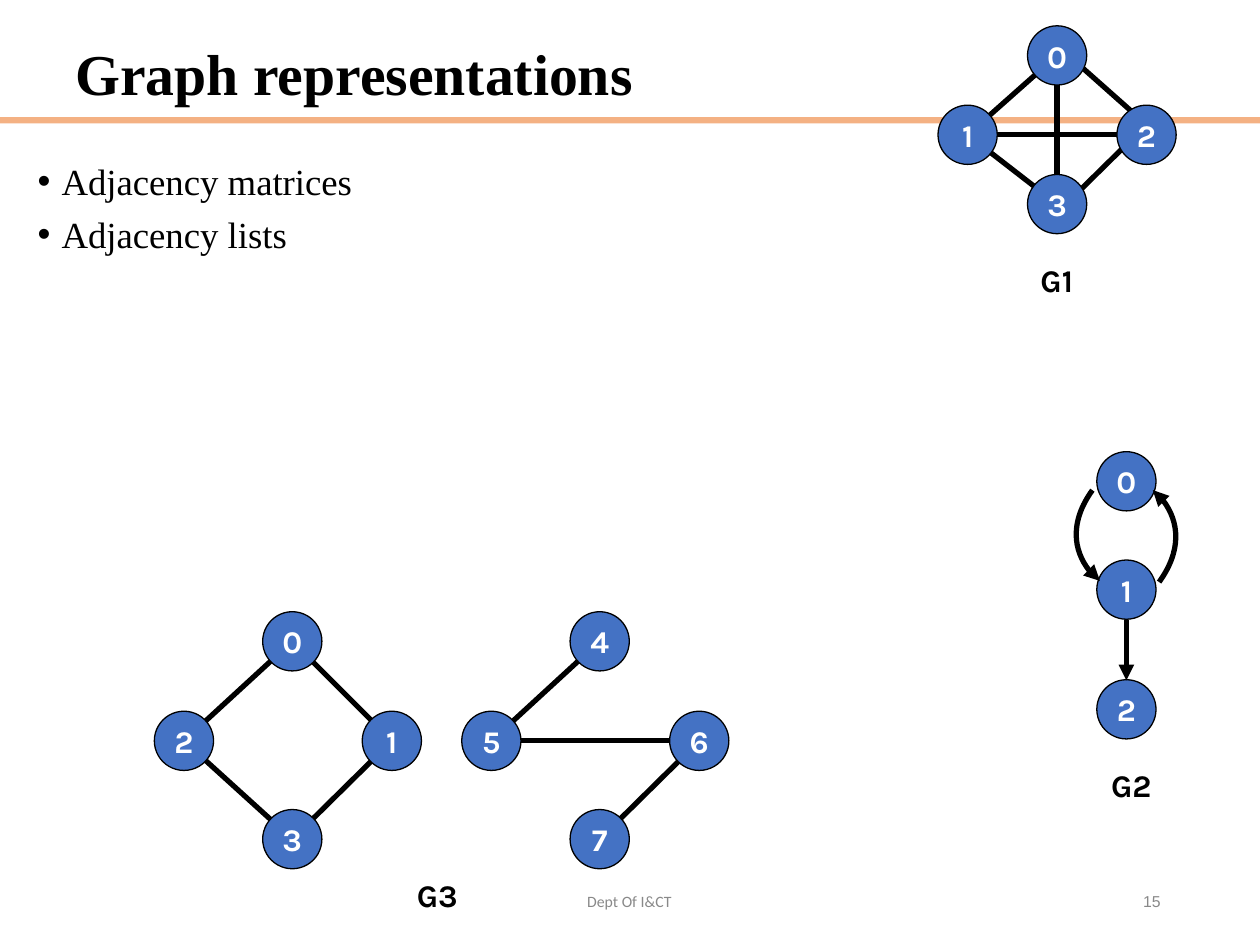
from pptx import Presentation
from pptx.dml.color import RGBColor
from pptx.enum.shapes import MSO_CONNECTOR, MSO_SHAPE
from pptx.enum.text import MSO_ANCHOR, PP_ALIGN
from pptx.oxml.ns import qn
from pptx.util import Inches, Pt
from lxml import etree

LINE = MSO_CONNECTOR.STRAIGHT
OVAL, RECT = MSO_SHAPE.OVAL, MSO_SHAPE.RECTANGLE
MID, TOP = MSO_ANCHOR.MIDDLE, MSO_ANCHOR.TOP
LEFT, CENTER, RIGHT = PP_ALIGN.LEFT, PP_ALIGN.CENTER, PP_ALIGN.RIGHT

BLACK = RGBColor(0x00, 0x00, 0x00)
WHITE = RGBColor(0xFF, 0xFF, 0xFF)
BLUE = RGBColor(0x44, 0x72, 0xC4)
PEACH = RGBColor(0xF4, 0xB1, 0x83)
GRAY = RGBColor(0x89, 0x89, 0x89)

SERIF = "Times New Roman"
SIZE = 0.47
LABEL = (0.6, 0.4)

TITLE = "Graph representations"
BULLETS = ["Adjacency matrices", "Adjacency lists"]
FOOTERS = [
    ("Dept Of I&CT", (3.31, 6.95, 3.37, 0.4), "Calibri", CENTER),
    ("15", (7.06, 6.95, 2.25, 0.4), "Arial", RIGHT),
]

# Nodes give their centres; an edge end is a node or a point.
# Arcs give a start, two control points and an end.
GRAPHS = [
    dict(
        name="G1", label=(8.16, 2.02),
        nodes={"0": (8.39, 0.44), "1": (7.68, 1.07),
               "2": (9.1, 1.07), "3": (8.39, 1.62)},
        edges=[("0", "3"), ("1", "2"), ("0", "1"), ("1", "3"),
               ((8.39, 0.36), (9.1, 0.99)), ((9.1, 0.99), (8.46, 1.62))],
    ),
    dict(
        name="G2", label=(8.72, 6.03),
        nodes={"2": (8.94, 5.63), "1": (8.94, 4.68), "0": (8.94, 3.82)},
        arrows=[((8.94, 4.92), (8.94, 5.4))],
        arcs=[[(9.2, 4.62), (9.38, 4.37), (9.36, 4.05), (9.15, 3.89)],
              [(8.67, 3.89), (8.49, 4.14), (8.52, 4.46), (8.73, 4.61)]],
    ),
    dict(
        name="G3", label=(3.21, 6.9),
        nodes={"0": (2.32, 5.09), "1": (3.11, 5.88),
               "2": (1.46, 5.88), "3": (2.32, 6.66),
               "4": (4.76, 5.09), "5": (3.9, 5.88),
               "6": (5.55, 5.88), "7": (4.76, 6.66)},
        edges=[("0", "2"), ("2", "3"), ("0", "1"), ("1", "3"),
               ("4", "5"), ("5", "6"), ("6", "7")],
    ),
]


def inches(values):
    return [Inches(v) for v in values]


def style(para, font, size, color, bold=False, align=LEFT):
    para.alignment = align
    for run in para.runs:
        run.font.name = font
        run.font.size = Pt(size)
        run.font.bold = bold
        run.font.color.rgb = color


def add_text(shapes, text, box, *look, anchor=MID, **more):
    """Add a text box whose paragraphs share one look."""
    shape = shapes.add_textbox(*inches(box))
    frame = shape.text_frame
    frame.word_wrap = True
    frame.vertical_anchor = anchor
    frame.text = text
    for para in frame.paragraphs:
        style(para, *look, **more)
    return frame


def add_bullet(para):
    props = para._p.get_or_add_pPr()
    props.set("marL", str(Inches(0.19)))
    props.set("indent", str(-Inches(0.19)))
    font = etree.SubElement(props, qn("a:buFont"))
    font.set("typeface", "Arial")
    etree.SubElement(props, qn("a:buChar")).set("char", "•")


def ink(shape, arrow=False):
    """Give a line its colour and width, and a head if it is an arrow."""
    shape.line.color.rgb = BLACK
    shape.line.width = Pt(3)
    if arrow:
        head = etree.SubElement(shape.line._get_or_add_ln(), qn("a:tailEnd"))
        head.set("type", "triangle")


def add_line(shapes, start, end, arrow=False):
    line = shapes.add_connector(LINE, *inches(start + end))
    ink(line, arrow)
    etree.SubElement(line._element.spPr, qn("a:effectLst"))


def add_arc(shapes, points):
    """Draw an open outline, then turn its three segments into one curve."""
    start, *rest = [inches(p) for p in points]
    pen = shapes.build_freeform(*start)
    pen.add_line_segments(rest, close=False)
    arc = pen.convert_to_shape()
    arc.fill.background()
    arc.shadow.inherit = False
    ink(arc, arrow=True)
    steps = list(arc._element.iter(qn("a:lnTo")))
    curve = etree.SubElement(steps[0].getparent(), qn("a:cubicBezTo"))
    for step in steps:
        curve.append(step[0])
        step.getparent().remove(step)


def add_node(shapes, name, center):
    x, y = center
    box = (x - SIZE / 2, y - SIZE / 2, SIZE, SIZE)
    node = shapes.add_shape(OVAL, *inches(box))
    node.shadow.inherit = False
    node.fill.solid()
    node.fill.fore_color.rgb = BLUE
    node.line.color.rgb = BLACK
    node.line.width = Pt(0.75)
    frame = node.text_frame
    frame.word_wrap = False
    frame.vertical_anchor = MID
    frame.text = name
    style(frame.paragraphs[0], "Karla", 18, WHITE, True, CENTER)


def add_graph(slide, graph):
    shapes = slide.shapes.add_group_shape().shapes
    nodes = graph["nodes"]
    for start, end in graph.get("edges", []):
        add_line(shapes, nodes.get(start, start), nodes.get(end, end))
    for name, center in nodes.items():
        add_node(shapes, name, center)
    for start, end in graph.get("arrows", []):
        add_line(shapes, start, end, arrow=True)
    for points in graph.get("arcs", []):
        add_arc(shapes, points)
    add_text(shapes, graph["name"], graph["label"] + LABEL,
             "Karla", 18, BLACK, True, anchor=TOP)


def main():
    deck = Presentation()
    deck.slide_width, deck.slide_height = Inches(10), Inches(7.5)
    slide = deck.slides.add_slide(deck.slide_layouts[6])
    shapes = slide.shapes

    rule = shapes.add_shape(RECT, *inches((0, 0.93, 10, 0.05)))
    rule.shadow.inherit = False
    rule.fill.solid()
    rule.fill.fore_color.rgb = PEACH
    rule.line.fill.background()

    body = add_text(shapes, "\n".join(BULLETS), (0.2, 1.25, 9.62, 5.6),
                    SERIF, 21, BLACK, anchor=TOP)
    for para in body.paragraphs:
        para.line_spacing = 0.9
        para.space_before = Pt(7.5)
        add_bullet(para)

    for text, box, font, align in FOOTERS:
        add_text(shapes, text, box, font, 9, GRAY, align=align)
    for graph in GRAPHS:
        add_graph(slide, graph)

    title = add_text(shapes, TITLE, (0.5, 0.18, 9, 0.86),
                     SERIF, 33, BLACK, True)
    title.paragraphs[0].line_spacing = 0.9
    deck.save("out.pptx")


if __name__ == "__main__":
    main()
